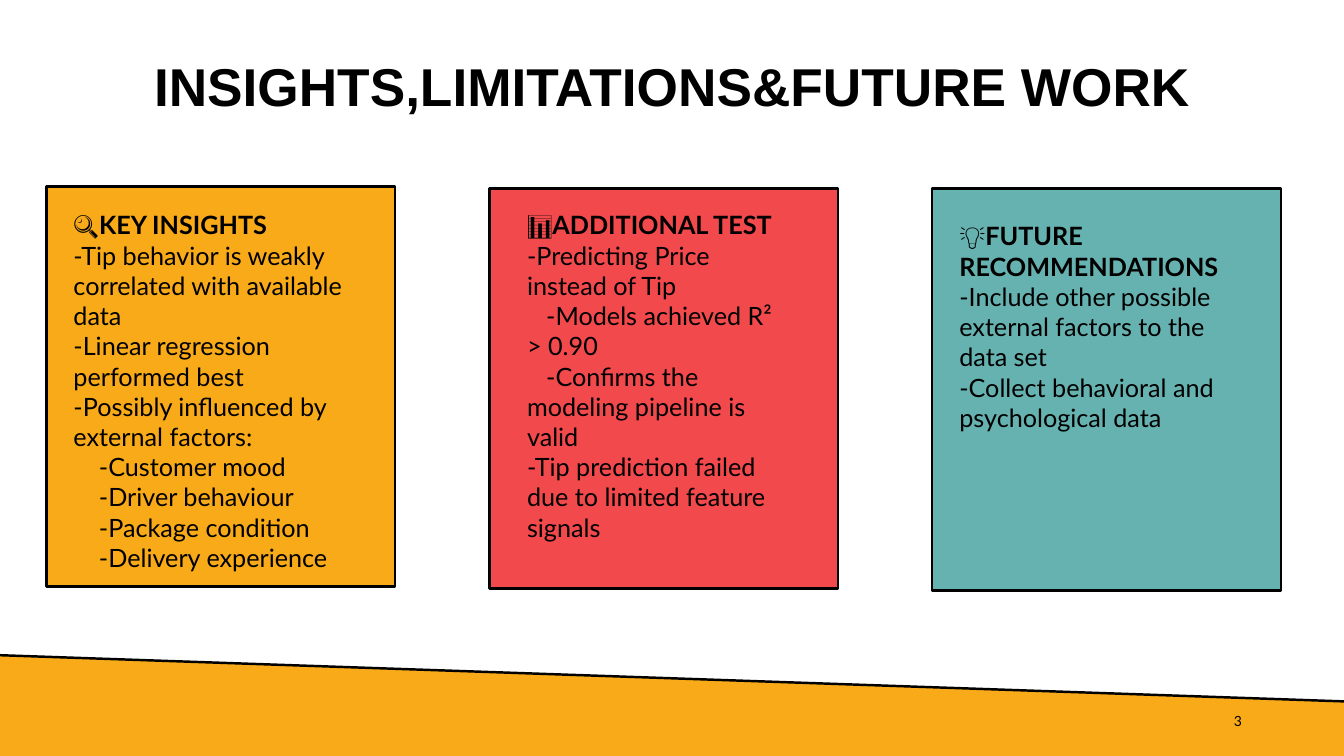
from pptx import Presentation
from pptx.dml.color import RGBColor
from pptx.enum.shapes import MSO_CONNECTOR, MSO_SHAPE
from pptx.enum.text import MSO_ANCHOR, MSO_AUTO_SIZE, PP_ALIGN
from pptx.oxml.ns import qn
from pptx.util import Pt
from lxml import etree

BLACK = RGBColor(0x00, 0x00, 0x00)
AMBER = RGBColor(0xF9, 0xAA, 0x19)
RED = RGBColor(0xF2, 0x49, 0x4C)
TEAL = RGBColor(0x66, 0xB2, 0xB0)

LEFT, CENTER, RIGHT = PP_ALIGN.LEFT, PP_ALIGN.CENTER, PP_ALIGN.RIGHT
TOP, MIDDLE = MSO_ANCHOR.TOP, MSO_ANCHOR.MIDDLE
GROW = MSO_AUTO_SIZE.SHAPE_TO_FIT_TEXT
RECTANGLE = MSO_SHAPE.RECTANGLE
STRAIGHT = MSO_CONNECTOR.STRAIGHT

WIDTH, HEIGHT = 960, 540
BAND_LEFT, BAND_RIGHT = 468, 501
CARD_LEFT, CARD_PITCH, CARD_WIDTH = 33.1, 316.4, 249.1

# Each card: fill, top and height, text box, icon, heading, sub-item indent, items (level, text)
CARDS = [
    (AMBER, (133.2, 285.8), (45.4, 146.2, 236.9, 269.3), "🔍", "KEY INSIGHTS", 18.2, [
        (0, "-Tip behavior is weakly correlated with available data"),
        (0, "-Linear regression performed best"),
        (0, "-Possibly influenced by external factors:"),
        (1, "-Customer mood"),
        (1, "-Driver behaviour"),
        (1, "-Package condition"),
        (1, "-Delivery experience"),
    ]),
    (RED, (134.6, 285.8), (369.4, 146.2, 192.2, 290.9), "📊", "ADDITIONAL TEST", 13.7, [
        (0, "-Predicting Price instead of Tip"),
        (1, "-Models achieved R² > 0.90"),
        (1, "-Confirms the modeling pipeline is valid"),
        (0, "-Tip prediction failed due to limited feature signals"),
    ]),
    (TEAL, (134.6, 287.3), (678.2, 154.1, 216, 159.8), "💡", "FUTURE RECOMMENDATIONS", 0, [
        (0, "-Include other possible external factors to the data set"),
        (0, "-Collect behavioral and psychological data"),
    ]),
]


class SlideBuilder:
    """Holds the shared style and the current slide."""

    def __init__(self, slide, font="Lato", size=18, line_width=1.75):
        self.slide = slide
        self.font = font
        self.size = size
        self.line_width = line_width

    def outline(self, line):
        line.color.rgb = BLACK
        line.width = Pt(self.line_width)

    def fill(self, shape, color):
        shape.shadow.inherit = False
        shape.fill.solid()
        shape.fill.fore_color.rgb = color

    def rectangle(self, left, top, width, height, color):
        shape = self.slide.shapes.add_shape(RECTANGLE, Pt(left), Pt(top), Pt(width), Pt(height))
        self.fill(shape, color)
        self.outline(shape.line)

    def polygon(self, points, color):
        start, *others = [(Pt(x), Pt(y)) for x, y in points]
        builder = self.slide.shapes.build_freeform(*start)
        builder.add_line_segments(others)
        shape = builder.convert_to_shape()
        self.fill(shape, color)
        shape.line.fill.background()

    def line(self, x1, y1, x2, y2):
        connector = self.slide.shapes.add_connector(STRAIGHT, Pt(x1), Pt(y1), Pt(x2), Pt(y2))
        self.outline(connector.line)
        etree.SubElement(connector._element.spPr, qn("a:effectLst"))

    def text_frame(self, left, top, width, height, anchor):
        box = self.slide.shapes.add_textbox(Pt(left), Pt(top), Pt(width), Pt(height))
        box.text_frame.word_wrap = True
        box.text_frame.vertical_anchor = anchor
        return box.text_frame

    def format(self, font, size=None, name=None, bold=False):
        font.name = name or self.font
        font.size = Pt(size or self.size)
        font.bold = bold
        font.color.rgb = BLACK

    def label(self, text, box, align, size, name=None, bold=False, spacing=None):
        frame = self.text_frame(*box, MIDDLE)
        frame.text = text
        paragraph = frame.paragraphs[0]
        paragraph.alignment = align
        paragraph.line_spacing = spacing
        self.format(paragraph.runs[0].font, size, name, bold)

    def card_text(self, box, icon, heading, indent, items):
        frame = self.text_frame(*box, TOP)
        frame.auto_size = GROW
        for text, bold in ((icon, False), (heading, True)):
            run = frame.paragraphs[0].add_run()
            run.text = text
            self.format(run.font, bold=bold)
        for level, text in items:
            paragraph = frame.add_paragraph()
            paragraph.text = text
            paragraph.alignment = LEFT
            if level:
                # Only the first line is indented; wrapped lines return to the margin
                paragraph._p.get_or_add_pPr().set("indent", str(Pt(indent)))
            self.format(paragraph.runs[0].font)


def main():
    presentation = Presentation()
    presentation.slide_width, presentation.slide_height = Pt(WIDTH), Pt(HEIGHT)
    slide = presentation.slides.add_slide(presentation.slide_layouts[6])
    builder = SlideBuilder(slide)

    # Slanted band at the bottom
    builder.polygon([(0, BAND_LEFT), (WIDTH, BAND_RIGHT), (WIDTH, HEIGHT), (0, HEIGHT)], AMBER)
    builder.line(0, BAND_LEFT, WIDTH, BAND_RIGHT)

    # Title and slide number
    builder.label("INSIGHTS,LIMITATIONS&FUTURE WORK", (66.2, 11.5, 828, 104.4), CENTER,
                  38, "Arial", bold=True, spacing=0.9)
    builder.label("3", (678.2, 500.4, 216, 28.8), RIGHT, 10)

    # Three cards
    for index, (color, (top, height), *content) in enumerate(CARDS):
        builder.rectangle(CARD_LEFT + index * CARD_PITCH, top, CARD_WIDTH, height, color)
        builder.card_text(*content)

    presentation.save("out.pptx")


if __name__ == "__main__":
    main()
